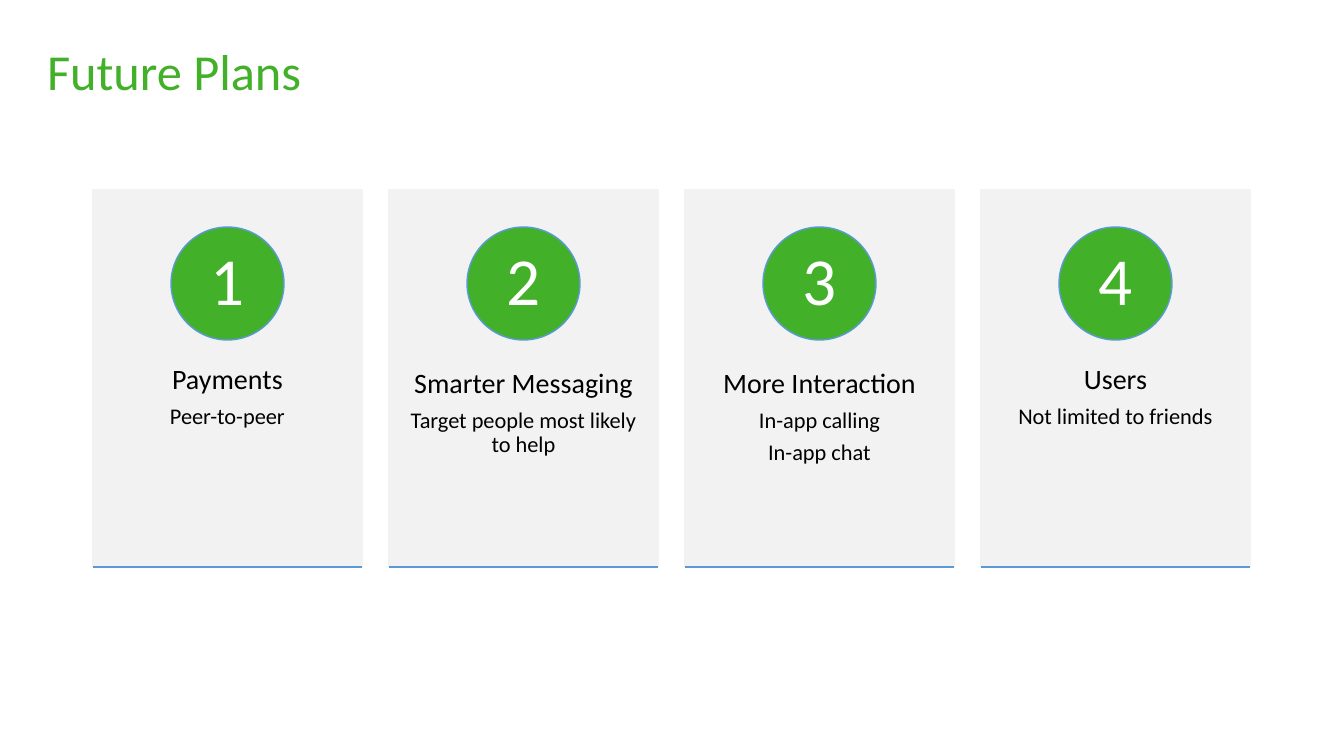
from lxml.etree import SubElement
from pptx import Presentation
from pptx.dml.color import RGBColor
from pptx.enum.shapes import MSO_CONNECTOR as Connector, MSO_SHAPE as Shape
from pptx.enum.text import MSO_ANCHOR as Anchor, MSO_AUTO_SIZE as AutoSize, PP_ALIGN as Align
from pptx.oxml.ns import qn
from pptx.util import Pt

TITLE = "Future Plans"
PLANS = [
    ("Payments", ["Peer-to-peer"]),
    ("Smarter Messaging", ["Target people most likely to help"]),
    ("More Interaction", ["In-app calling", "In-app chat"]),
    ("Users", ["Not limited to friends"]),
]

FONT = "Calibri"
GREEN, BLUE, GRAY, BLACK, WHITE = "43B02A", "5B9BD5", "F2F2F2", "000000", "FFFFFF"

SLIDE_WIDTH, SLIDE_HEIGHT = 1344, 756
TITLE_BOX = (37, 35, 384, 72)
CARD_LEFT, CARD_TOP, CARD_WIDTH, CARD_HEIGHT, CARD_PITCH = 93, 190, 269, 377, 296
CIRCLE_TOP, CIRCLE_SIZE = 227, 113
TEXT_TOP, TEXT_HEIGHT = 333, 227
INSET_X, INSET_Y = 21, 36


def px(length):
    return round(length * 914400 / 100.8)


def box(*lengths):
    return [px(length) for length in lengths]


def color(value):
    return RGBColor.from_string(value)


def add_run(paragraph, text, size, text_color):
    run = paragraph.add_run()
    run.text = text
    run.font.name = FONT
    run.font.size = Pt(size)
    run.font.color.rgb = color(text_color)


def set_insets(frame, horizontal, vertical):
    frame.margin_left = frame.margin_right = px(horizontal)
    frame.margin_top = frame.margin_bottom = px(vertical)


def add_filled(shapes, kind, place, fill, line):
    shape = shapes.add_shape(kind, *box(*place))
    shape.shadow.inherit = False
    shape.fill.solid()
    shape.fill.fore_color.rgb = color(fill)
    shape.line.color.rgb = color(line)
    shape.line.width = Pt(1)
    return shape


def add_card(slide, index, heading, details):
    shapes = slide.shapes.add_group_shape().shapes
    left = CARD_LEFT + index * CARD_PITCH
    bottom = CARD_TOP + CARD_HEIGHT
    add_filled(shapes, Shape.RECTANGLE, (left, CARD_TOP, CARD_WIDTH, CARD_HEIGHT), GRAY, GRAY)

    text_box = shapes.add_textbox(*box(left, TEXT_TOP, CARD_WIDTH, TEXT_HEIGHT))
    frame = text_box.text_frame
    frame.word_wrap = True
    set_insets(frame, INSET_X, INSET_Y)
    for number, text in enumerate([heading, *details]):
        size = 16 if number else 20
        paragraph = frame.add_paragraph() if number else frame.paragraphs[0]
        paragraph.alignment = Align.CENTER
        paragraph.line_spacing = 0.9
        paragraph.space_after = Pt(size * 0.35)
        add_run(paragraph, text, size, BLACK)

    circle_left = left + (CARD_WIDTH - CIRCLE_SIZE) / 2
    circle = add_filled(
        shapes, Shape.OVAL, (circle_left, CIRCLE_TOP, CIRCLE_SIZE, CIRCLE_SIZE), GREEN, BLUE
    )
    frame = circle.text_frame
    frame.vertical_anchor = Anchor.MIDDLE
    set_insets(frame, 0, 0)
    paragraph = frame.paragraphs[0]
    paragraph.alignment = Align.CENTER
    paragraph.line_spacing = 0.9
    add_run(paragraph, str(index + 1), 48, WHITE)

    underline = shapes.add_connector(
        Connector.STRAIGHT, *box(left, bottom, left + CARD_WIDTH, bottom)
    )
    underline.line.color.rgb = color(BLUE)
    underline.line.width = Pt(1)
    SubElement(underline._element.spPr, qn("a:effectLst"))


def main():
    presentation = Presentation()
    presentation.slide_width, presentation.slide_height = box(SLIDE_WIDTH, SLIDE_HEIGHT)
    slide = presentation.slides.add_slide(presentation.slide_layouts[5])

    title = slide.shapes.title
    title.left, title.top, title.width, title.height = box(*TITLE_BOX)
    frame = title.text_frame
    frame.auto_size = AutoSize.NONE
    frame.vertical_anchor = Anchor.TOP
    paragraph = frame.paragraphs[0]
    paragraph.alignment = Align.LEFT
    add_run(paragraph, TITLE, 36, GREEN)

    for index, (heading, details) in enumerate(PLANS):
        add_card(slide, index, heading, details)

    presentation.save("out.pptx")


if __name__ == "__main__":
    main()
